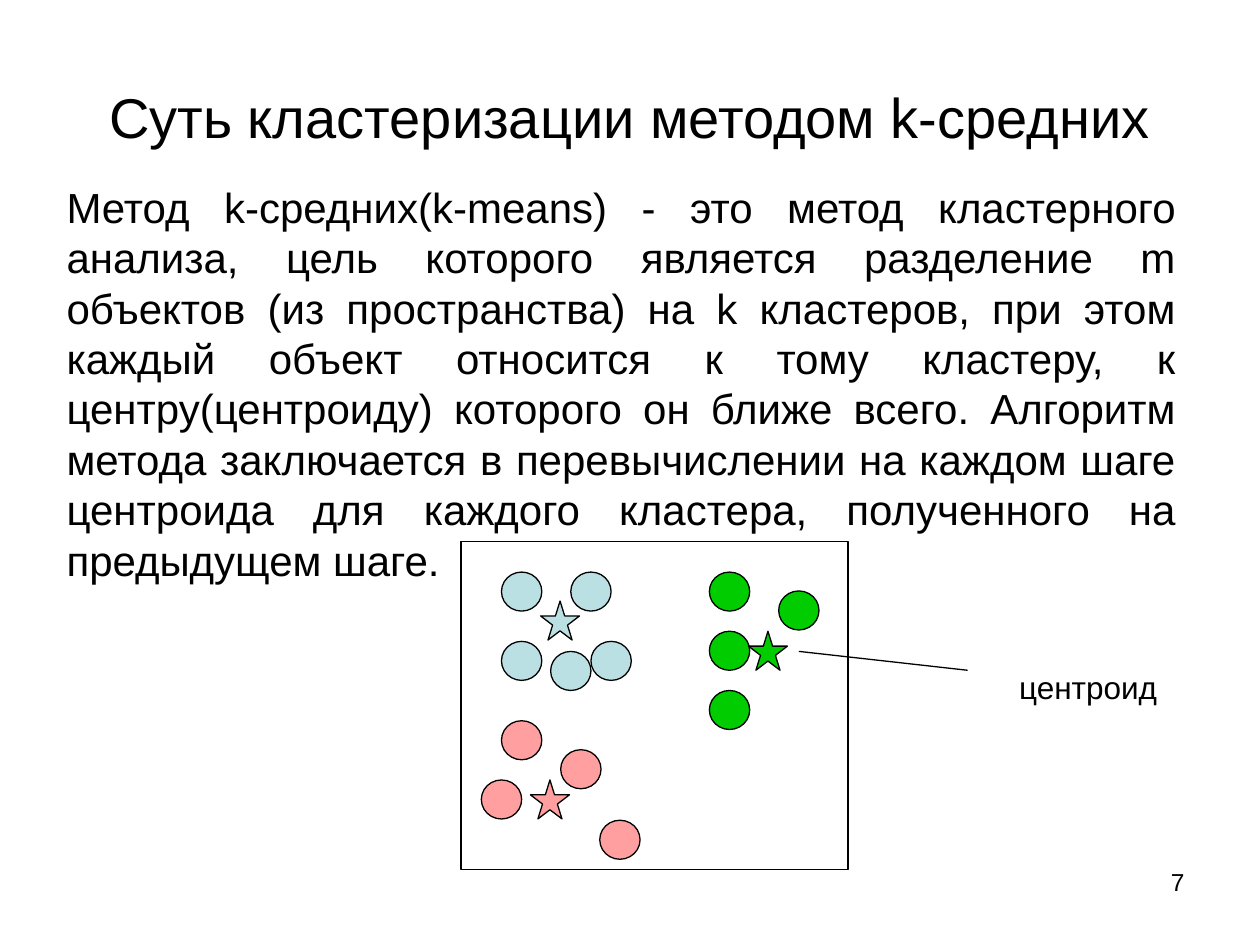
import pptx
import pptx.dml.color
import pptx.enum.shapes
import pptx.enum.text
import pptx.oxml.ns
import pptx.util
from lxml import etree

Inches = pptx.util.Inches
Shape = pptx.enum.shapes.MSO_SHAPE
Align = pptx.enum.text.PP_ALIGN
Anchor = pptx.enum.text.MSO_ANCHOR

TITLE = "Суть кластеризации методом k-средних"
BODY = (
    "Метод k-средних(k-means) - это метод кластерного анализа, цель которого "
    "является разделение m объектов (из пространства) на k кластеров, при этом "
    "каждый объект относится к тому кластеру, к центру(центроиду) которого он "
    "ближе всего. Алгоритм метода заключается в перевычислении на каждом шаге "
    "центроида для каждого кластера, полученного на предыдущем шаге."
)
BLACK = "000000"
FRAME = (3.66, 4.3, 3.07, 2.6)
POINT_SIZE = (0.32, 0.31)
CENTROID_SIZE = (0.31, 0.31)
CLUSTERS = [
    {"color": "BBE0E3", "centroid": (4.29, 4.77),
     "points": [(3.98, 4.54), (3.98, 5.09), (4.53, 4.54), (4.69, 5.09), (4.37, 5.17)]},
    {"color": "FF9F9F", "centroid": (4.21, 6.19),
     "points": [(3.98, 5.72), (4.45, 5.95), (3.82, 6.19), (4.76, 6.51)]},
    {"color": "00CC00", "centroid": (5.94, 5.01),
     "points": [(5.63, 4.54), (5.63, 5.01), (5.63, 5.48), (6.18, 4.69)]},
]
POINTER = (6.34, 5.17, 7.68, 5.32)


def rgb(color):
    return pptx.dml.color.RGBColor.from_string(color)


def write_text(shape, text, size, align=Align.LEFT, anchor=Anchor.TOP, color=BLACK):
    frame = shape.text_frame
    frame.word_wrap = True
    frame.vertical_anchor = anchor
    frame.text = text
    paragraph = frame.paragraphs[0]
    paragraph.alignment = align
    paragraph.font.name = "Arial"
    paragraph.font.size = pptx.util.Pt(size)
    paragraph.font.color.rgb = rgb(color)


def add_text(slide, box, text, **style):
    write_text(slide.shapes.add_textbox(*map(Inches, box)), text, **style)


def set_line(shape):
    shape.line.color.rgb = rgb(BLACK)
    shape.line.width = pptx.util.Pt(0.75)


def add_figure(slide, kind, box, color=None):
    shape = slide.shapes.add_shape(kind, *map(Inches, box))
    shape.shadow.inherit = False
    set_line(shape)
    if color:
        shape.fill.solid()
        shape.fill.fore_color.rgb = rgb(color)
    else:
        shape.fill.background()


def add_pointer(slide, ends):
    connector = slide.shapes.add_connector(
        pptx.enum.shapes.MSO_CONNECTOR.STRAIGHT, *map(Inches, ends))
    set_line(connector)
    etree.SubElement(connector._element.spPr, pptx.oxml.ns.qn("a:effectLst"))


def main():
    presentation = pptx.Presentation()
    presentation.slide_width = Inches(10)
    presentation.slide_height = Inches(7.5)
    slide = presentation.slides.add_slide(presentation.slide_layouts[5])

    title = slide.shapes.title
    title.left, title.top, title.width, title.height = map(Inches, (0.5, 0.3, 9, 1.25))
    write_text(title, TITLE, 32, align=Align.CENTER, anchor=Anchor.MIDDLE)
    add_text(slide, (0.43, 1.39, 9, 4.95), BODY, size=24, align=Align.JUSTIFY)

    add_figure(slide, Shape.RECTANGLE, FRAME)
    for cluster in CLUSTERS:
        for point in cluster["points"]:
            add_figure(slide, Shape.OVAL, point + POINT_SIZE, cluster["color"])
        add_figure(slide, Shape.STAR_5_POINT, cluster["centroid"] + CENTROID_SIZE,
                   cluster["color"])

    add_pointer(slide, POINTER)
    add_text(slide, (7.99, 5.25, 1.34, 0.4), "центроид", size=18)
    add_text(slide, (7.17, 6.83, 2.33, 0.52), "7", size=14, align=Align.RIGHT)
    presentation.save("out.pptx")


if __name__ == "__main__":
    main()
